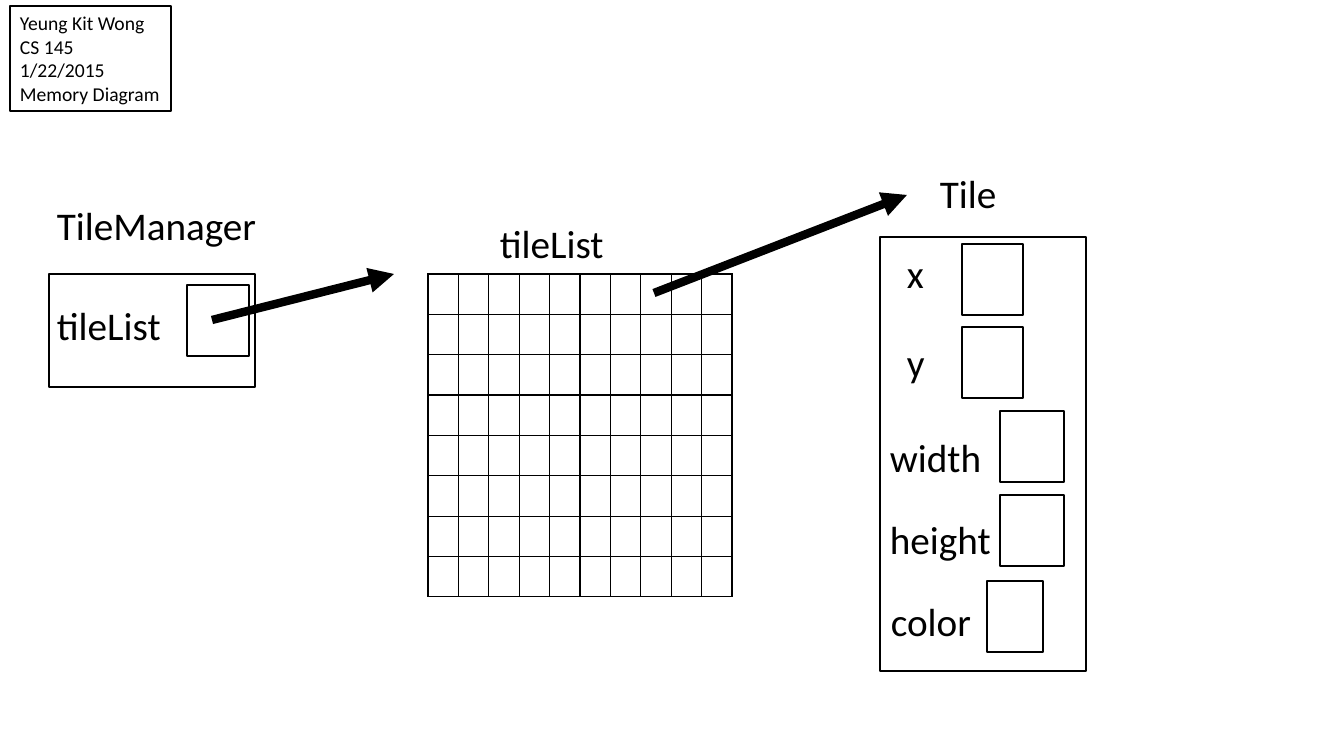
from lxml.etree import SubElement
from pptx import Presentation
from pptx.dml.color import RGBColor
from pptx.enum.shapes import MSO_CONNECTOR, MSO_SHAPE
from pptx.enum.text import MSO_ANCHOR, PP_ALIGN
from pptx.oxml import parse_xml
from pptx.oxml.ns import nsdecls, qn
from pptx.util import Emu, Pt

SCALE = 914400 / 100.8
BLACK = RGBColor(0, 0, 0)
WHITE = RGBColor(255, 255, 255)
ROWS, COLUMNS = 8, 10


def px(*lengths):
    return [Emu(round(length * SCALE)) for length in lengths]


def write(frame, text, size=28, color=BLACK, font="Calibri", wrap=True):
    frame.word_wrap = wrap
    frame.vertical_anchor = MSO_ANCHOR.TOP
    frame.text = text
    for paragraph in frame.paragraphs:
        paragraph.alignment = PP_ALIGN.LEFT
        paragraph.font.size = Pt(size)
        paragraph.font.name = font
        paragraph.font.color.rgb = color


presentation = Presentation()
presentation.slide_width, presentation.slide_height = px(1344, 756)
slide = presentation.slides.add_slide(presentation.slide_layouts[6])
shapes = slide.shapes

tile_object = (880, 237, 206, 434)
tile_fields = [
    (962, 244, 61, 71),
    (962, 327, 61, 71),
    (1000, 411, 64, 71),
    (1000, 495, 64, 71),
    (987, 581, 56, 71),
]
manager_object = (49, 274, 206, 113)
manager_field = (187, 285, 62, 71)
for box in [tile_object, *tile_fields, manager_object, manager_field]:
    outline = shapes.add_shape(MSO_SHAPE.RECTANGLE, *px(*box))
    outline.shadow.inherit = False
    outline.fill.background()
    outline.line.color.rgb = BLACK
    outline.line.width = Pt(1)

labels = [
    ("Tile", 930, 164, 224),
    ("x", 897, 244, 47),
    ("y", 897, 333, 47),
    ("width", 880, 428, 287),
    ("height", 880, 510, 162),
    ("color", 881, 592, 142),
    ("TileManager", 47, 196, 224),
    ("tileList", 47, 296, 134),
    ("tileList", 490, 214, 224),
]
for text, left, top, width in labels:
    label = shapes.add_textbox(*px(left, top, width, 57))
    write(label.text_frame, text)

grid = shapes.add_table(ROWS, COLUMNS, *px(428, 274, 304, 323)).table
grid.first_row = False
grid.horz_banding = False
for column in grid.columns:
    column.width, = px(304 / COLUMNS)
for row in grid.rows:
    row.height, = px(323 / ROWS)
    for cell in row.cells:
        cell.margin_top = cell.margin_bottom = 0
        cell.fill.background()
        properties = cell._tc.get_or_add_tcPr()
        for position, side in enumerate("LRTB"):
            properties.insert(position, parse_xml(
                f'<a:ln{side} {nsdecls("a")} w="12700"><a:solidFill>'
                f'<a:srgbClr val="{BLACK}"/></a:solidFill></a:ln{side}>'))

for ends in [(212, 320, 394, 274), (654, 293, 907, 195)]:
    reference = shapes.add_connector(MSO_CONNECTOR.STRAIGHT, *px(*ends))
    reference.line.color.rgb = BLACK
    reference.line.width = Pt(6)
    SubElement(reference.line._get_or_add_ln(), qn("a:tailEnd"), type="triangle")
    SubElement(reference._element.spPr, qn("a:effectLst"))

heading = shapes.add_textbox(*px(10, 6, 161, 105))
heading.fill.solid()
heading.fill.fore_color.rgb = WHITE
heading.line.color.rgb = BLACK
heading.line.width = Pt(1)
write(heading.text_frame, "Yeung Kit Wong\nCS 145\n1/22/2015\nMemory Diagram",
      size=14, wrap=False)

presentation.save("out.pptx")
